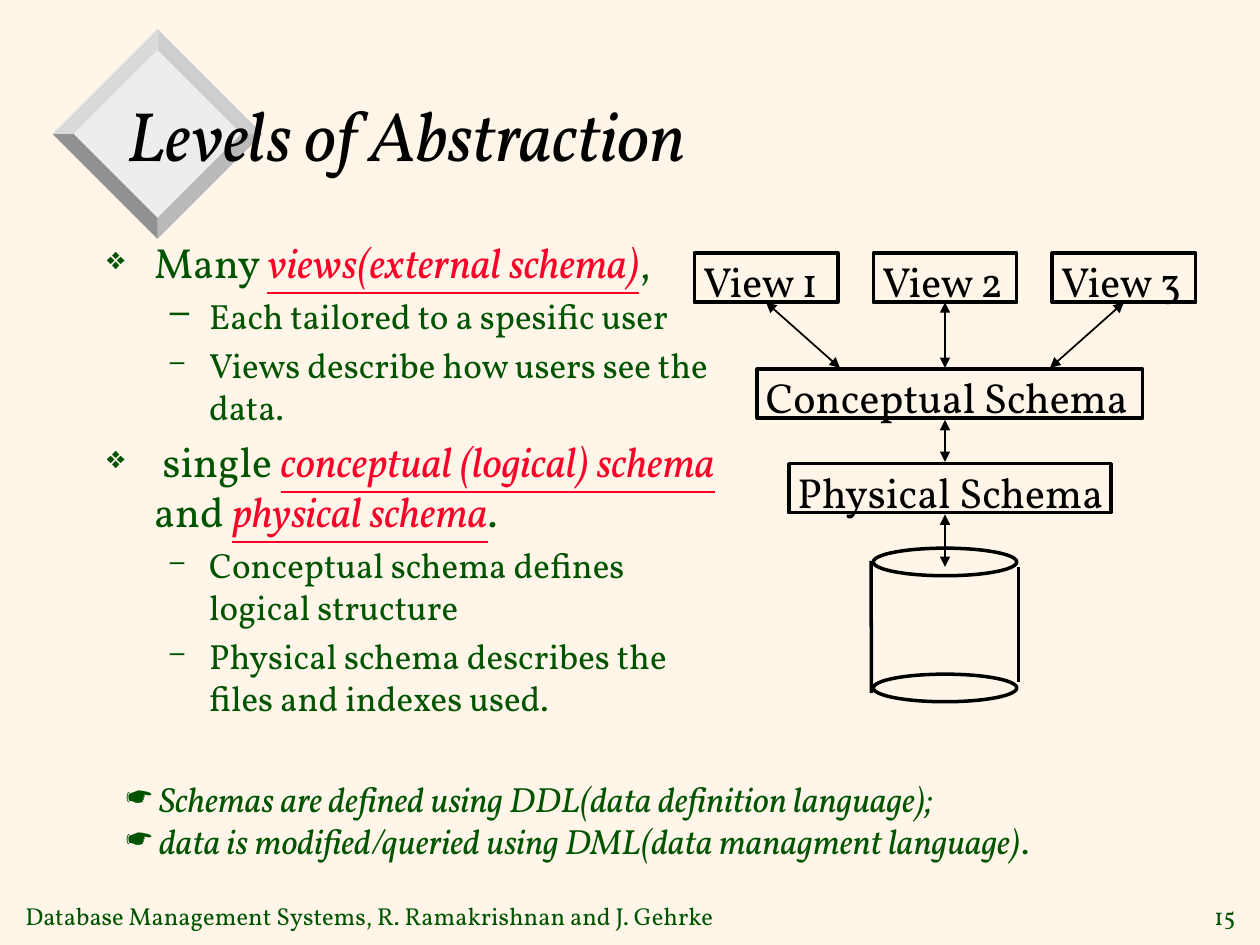
from lxml.etree import SubElement
from pptx import Presentation
from pptx.dml.color import RGBColor
from pptx.enum.shapes import MSO_CONNECTOR, MSO_SHAPE
from pptx.enum.text import MSO_ANCHOR, PP_ALIGN
from pptx.oxml.ns import qn
from pptx.util import Pt

FONT = "Vollkorn"
CREAM = RGBColor(0xFF, 0xF6, 0xE9)
BLACK = RGBColor(0x00, 0x00, 0x00)
GREEN = RGBColor(0x00, 0x54, 0x00)
RED = RGBColor(0xFC, 0x01, 0x28)
FACE = RGBColor(0xED, 0xED, 0xED)
TOP_RIGHT = RGBColor(0xCE, 0xCE, 0xCE)
TOP_LEFT = RGBColor(0xDA, 0xDA, 0xDA)
LOW_RIGHT = RGBColor(0xB9, 0xB9, 0xB9)
LOW_LEFT = RGBColor(0x91, 0x91, 0x91)

BODY = [
    (0, 75, [("Many ", False), ("views(external schema)", True), (",", False)]),
    (1, 100, [("Each tailored to a spesific user", False)]),
    (1, 75, [("Views describe how users see the data.", False)]),
    (0, 75, [(" single ", False), ("conceptual (logical) schema", True),
             (" and ", False), ("physical schema", True), (".", False)]),
    (1, 75, [("Conceptual schema defines logical structure", False)]),
    (1, 75, [("Physical schema describes the files and indexes used.", False)]),
]
LEVELS = [("❖", 24, 27, -27), ("–", 20, 58.5, -22.5)]


def add_run(p, text, size, color=GREEN, italic=False, underline=False):
    r = p.add_run()
    r.text = text
    r.font.name = FONT
    r.font.size = Pt(size)
    r.font.color.rgb = color
    r.font.italic = italic
    r.font.underline = underline


def set_bullet(p, char, percent=100, margin=0, indent=0):
    pPr = p._p.get_or_add_pPr()
    pPr.set("marL", str(Pt(margin)))
    pPr.set("indent", str(Pt(indent)))
    clr = SubElement(pPr, qn("a:buClr"))
    SubElement(clr, qn("a:srgbClr"), val=str(GREEN))
    SubElement(pPr, qn("a:buSzPct"), val=str(percent * 1000))
    SubElement(pPr, qn("a:buChar"), char=char)


def add_text_frame(s, left, top, width, height, anchor=MSO_ANCHOR.TOP):
    sp = s.shapes.add_textbox(Pt(left), Pt(top), Pt(width), Pt(height))
    tf = sp.text_frame
    tf.word_wrap = True
    tf.vertical_anchor = anchor
    return tf


def add_label(s, text, left, top, width, height, size, color=GREEN,
              italic=False, align=PP_ALIGN.LEFT):
    tf = add_text_frame(s, left, top, width, height, MSO_ANCHOR.MIDDLE)
    p = tf.paragraphs[0]
    p.alignment = align
    add_run(p, text, size, color, italic)


def add_outline(s, kind, left, top, width, height):
    sp = s.shapes.add_shape(kind, Pt(left), Pt(top), Pt(width), Pt(height))
    sp.shadow.inherit = False
    sp.fill.background()
    sp.line.color.rgb = BLACK
    sp.line.width = Pt(2)
    return sp


def add_box(s, text, left, top, width):
    sp = add_outline(s, MSO_SHAPE.RECTANGLE, left, top, width, 28)
    tf = sp.text_frame
    tf.word_wrap = True
    tf.vertical_anchor = MSO_ANCHOR.TOP
    tf.margin_left, tf.margin_top = Pt(5), Pt(1.5)
    tf.margin_right = tf.margin_bottom = 0
    p = tf.paragraphs[0]
    p.alignment = PP_ALIGN.LEFT
    add_run(p, text, 24, BLACK)
    return sp


def add_line(s, x1, y1, x2, y2, width=2, arrows=False):
    cxn = s.shapes.add_connector(MSO_CONNECTOR.STRAIGHT, Pt(x1), Pt(y1), Pt(x2), Pt(y2))
    cxn.line.color.rgb = BLACK
    cxn.line.width = Pt(width)
    if arrows:
        for tag in ("a:headEnd", "a:tailEnd"):
            SubElement(cxn.line._get_or_add_ln(), qn(tag), type="triangle")
    SubElement(cxn._element.spPr, qn("a:effectLst"))
    return cxn


def add_polygon(shapes, points, color):
    pts = [(Pt(x), Pt(y)) for x, y in points]
    builder = shapes.build_freeform(*pts[0], scale=1.0)
    builder.add_line_segments(pts[1:], close=True)
    sp = builder.convert_to_shape()
    sp.shadow.inherit = False
    sp.fill.solid()
    sp.fill.fore_color.rgb = color
    sp.line.fill.background()


def add_diamond(s, cx, cy, outer, inner):
    def corners(radius):
        return [(cx, cy - radius), (cx + radius, cy), (cx, cy + radius), (cx - radius, cy)]

    rim, face = corners(outer), corners(inner)
    shapes = s.shapes.add_group_shape().shapes
    add_polygon(shapes, face, FACE)
    for i, color in enumerate((TOP_RIGHT, LOW_RIGHT, LOW_LEFT, TOP_LEFT)):
        j = (i + 1) % 4
        add_polygon(shapes, [face[i], rim[i], rim[j], face[j]], color)


def add_body(s):
    tf = add_text_frame(s, 54, 131.75, 363, 296.5)
    for i, (level, percent, runs) in enumerate(BODY):
        char, size, margin, indent = LEVELS[level]
        p = tf.add_paragraph() if i else tf.paragraphs[0]
        p.level = level
        p.space_before = Pt(size * 0.2)
        set_bullet(p, char, percent, margin, indent)
        for text, key in runs:
            add_run(p, text, size, RED if key else GREEN, key, key)


def add_notes_on_languages(s):
    tf = add_text_frame(s, 64.8, 440.6, 551, 54.7)
    p = tf.paragraphs[0]
    set_bullet(p, "☛")
    add_run(p, " Schemas are defined using DDL(data definition language);", 20, italic=True)
    p = tf.add_paragraph()
    set_bullet(p, "☛")
    add_run(p, " data is modified/queried using DML(data managment language)", 20, italic=True)
    add_run(p, ".", 20)


def add_schema_diagram(s):
    for top in (313.25, 385.25):
        add_outline(s, MSO_SHAPE.OVAL, 499, top, 82, 15.75)
    add_line(s, 497.75, 320.5, 498, 396)
    add_line(s, 582, 324, 582, 390)
    add_box(s, "Physical Schema", 450.75, 265, 184.25)
    add_box(s, "Conceptual Schema", 432.75, 211, 220.25)
    for i, end in enumerate((480, 540, 600)):
        left = 396.75 + 102.25 * i
        view = add_box(s, f"View {i + 1}", left, 144.75, 82)
        cxn = add_line(s, left + 41, 174, end, 210.25, 1, True)
        cxn.begin_connect(view, 2)
    for y1, y2 in ((240, 264), (294, 324)):
        add_line(s, 540, y1, 540, y2, 1, True)


def main():
    """Build the slide on levels of abstraction."""
    prs = Presentation()
    prs.slide_width, prs.slide_height = Pt(720), Pt(540)
    s = prs.slides.add_slide(prs.slide_layouts[6])
    s.background.fill.solid()
    s.background.fill.fore_color.rgb = CREAM
    add_diamond(s, 90, 76.5, 60, 48)
    add_label(s, "Database Management Systems, R. Ramakrishnan and J. Gehrke",
              7.5, 511.25, 412, 24, 14)
    add_label(s, "15", 682, 511.25, 31, 24, 14, align=PP_ALIGN.RIGHT)
    add_label(s, "Levels of Abstraction", 66, 33, 612, 87, 40, BLACK, True)
    add_body(s)
    add_notes_on_languages(s)
    add_schema_diagram(s)
    prs.save("out.pptx")


if __name__ == "__main__":
    main()
